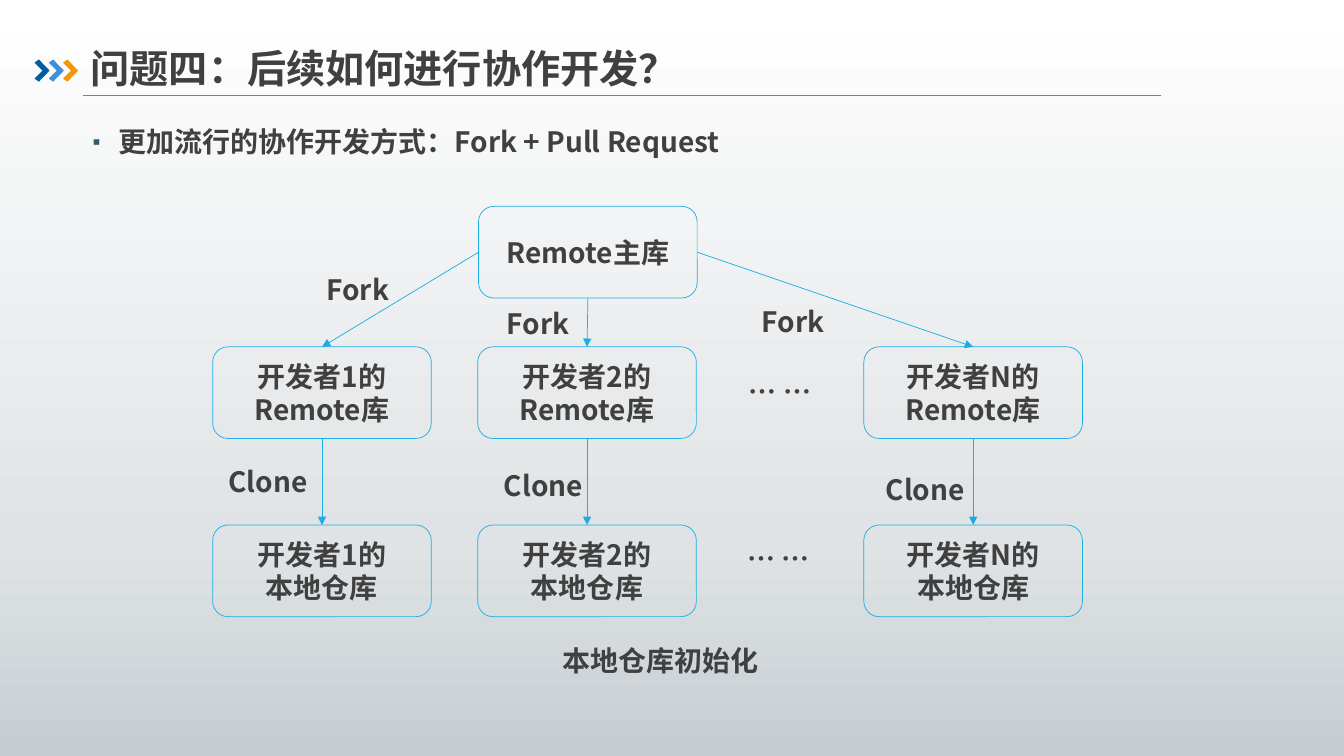
import copy

import lxml.etree
import pptx
import pptx.dml.color
import pptx.enum.dml
import pptx.enum.shapes
import pptx.enum.text
import pptx.oxml.ns
import pptx.util

Cm, Pt = pptx.util.Cm, pptx.util.Pt
RGBColor = pptx.dml.color.RGBColor
PP_ALIGN = pptx.enum.text.PP_ALIGN
MSO_ANCHOR = pptx.enum.text.MSO_ANCHOR
MSO_SHAPE = pptx.enum.shapes.MSO_SHAPE
STRAIGHT = pptx.enum.shapes.MSO_CONNECTOR.STRAIGHT
qn = pptx.oxml.ns.qn

FONT = "Noto Sans CJK SC"
TEXT = RGBColor(0x40, 0x40, 0x40)
OUTLINE = RGBColor(0x1C, 0xAD, 0xE4)
RULE = RGBColor(0x80, 0x80, 0x80)
BACKDROP = [(0, RGBColor(0xFF, 0xFF, 0xFF)), (0.72, RGBColor(0xDF, 0xE3, 0xE5)),
            (1, RGBColor(0xC6, 0xCD, 0xD1))]
CHEVRONS = [RGBColor(0x00, 0x5D, 0xA2), RGBColor(0x39, 0x92, 0xDB), RGBColor(0xF7, 0x96, 0x00)]
BOX_WIDTH, BOX_HEIGHT = 5.51, 2.31


def write(shape, text, size=20, align=PP_ALIGN.LEFT, anchor=MSO_ANCHOR.TOP, wrap=True, spacing=None):
    frame = shape.text_frame
    frame.text = text
    frame.word_wrap = wrap
    frame.vertical_anchor = anchor
    for paragraph in frame.paragraphs:
        paragraph.alignment = align
        paragraph.line_spacing = spacing
        for run in paragraph.runs:
            run.font.name = FONT
            run.font.size = Pt(size)
            run.font.bold = True
            run.font.color.rgb = TEXT
            lxml.etree.SubElement(run.font._element, qn("a:ea"), typeface=FONT)


def draw_line(start, end, color, arrow=False):
    """Draw between two (x, y) points, or between two (shape, side) joints."""
    joined = not isinstance(start[0], (int, float))
    ends = (0, 0, 0, 0) if joined else [Cm(value) for value in (*start, *end)]
    line = slide.shapes.add_connector(STRAIGHT, *ends)
    if joined:
        line.begin_connect(*start)
        line.end_connect(*end)
    line.line.color.rgb = color
    line.line.width = Pt(0.5)
    if arrow:
        lxml.etree.SubElement(line.line._get_or_add_ln(), qn("a:tailEnd"), type="triangle")
    lxml.etree.SubElement(line._element.spPr, qn("a:effectLst"))


presentation = pptx.Presentation()
presentation.slide_width, presentation.slide_height = Cm(33.87), Cm(19.05)
slide = presentation.slides.add_slide(presentation.slide_layouts[1])

# Background gradient, top to bottom
backdrop = slide.background.fill
backdrop.gradient()
backdrop.gradient_angle = 270
first_stop = backdrop.gradient_stops[0]._gs
first_stop.addnext(copy.deepcopy(first_stop))
for stop, (position, color) in zip(backdrop.gradient_stops, BACKDROP):
    stop.position = position
    stop.color.rgb = color

# Heading
draw_line((2.08, 2.41), (29.26, 2.41), RULE)
for index, color in enumerate(CHEVRONS):
    outline = [(x + index * 0.36, y) for x, y in
               [(0.87, 1.58), (0.98, 1.5), (1.25, 1.78), (0.98, 2.06), (0.87, 1.98), (1.07, 1.78)]]
    builder = slide.shapes.build_freeform(Cm(outline[0][0]), Cm(outline[0][1]))
    builder.add_line_segments([(Cm(x), Cm(y)) for x, y in outline[1:]], close=True)
    chevron = builder.convert_to_shape()
    chevron.shadow.inherit = False
    chevron.fill.solid()
    chevron.fill.fore_color.rgb = color
    chevron.line.fill.background()

title = slide.shapes.title
title.left, title.top, title.width, title.height = Cm(2.03), Cm(0.23), Cm(29.87), Cm(2.21)
write(title, "问题四：后续如何进行协作开发？", size=28, anchor=MSO_ANCHOR.BOTTOM, spacing=0.9)

body = slide.placeholders[1]
body.left, body.top, body.width, body.height = Cm(1.96), Cm(3.1), Cm(29.87), Cm(14.63)
write(body, "更加流行的协作开发方式：Fork + Pull Request", spacing=0.9)
topic = body.text_frame.paragraphs[0]
topic.space_before = Pt(18)
bullet = topic._p.get_or_add_pPr()
bullet.set("marL", str(Cm(0.76)))
bullet.set("indent", str(Cm(-0.64)))
bullet_color = lxml.etree.SubElement(bullet, qn("a:buClr"))
lxml.etree.SubElement(bullet_color, qn("a:srgbClr"), val="335B74")
lxml.etree.SubElement(bullet, qn("a:buSzPct"), val="80000")
lxml.etree.SubElement(bullet, qn("a:buChar"), char="▪")

# Repositories: main one, then a fork and a local clone for each developer
repositories = {}
places = [("main", "Remote主库", 12.06, 5.2)]
for developer, left in [("1", 5.36), ("2", 12.04), ("N", 21.77)]:
    places.append((("fork", developer), f"开发者{developer}的Remote库", left, 8.74))
    places.append((("local", developer), f"开发者{developer}的\n本地仓库", left, 13.23))
for key, text, left, top in places:
    repository = slide.shapes.add_shape(MSO_SHAPE.ROUNDED_RECTANGLE, Cm(left), Cm(top),
                                        Cm(BOX_WIDTH), Cm(BOX_HEIGHT))
    repository.shadow.inherit = False
    repository.fill.background()
    repository.line.color.rgb = OUTLINE
    repository.line.width = Pt(0.5)
    write(repository, text, align=PP_ALIGN.CENTER, anchor=MSO_ANCHOR.MIDDLE)
    repositories[key] = repository

for developer, main_side in [("1", 1), ("2", 2), ("N", 3)]:
    fork, local = repositories["fork", developer], repositories["local", developer]
    draw_line((repositories["main"], main_side), (fork, 0), OUTLINE, arrow=True)
    draw_line((fork, 2), (local, 0), OUTLINE, arrow=True)

# Labels
for text, left, top, width in [
    ("Fork", 7.98, 6.73, 2.11), ("Fork", 12.52, 7.59, 2.11), ("Fork", 18.95, 7.54, 2.11),
    ("Clone", 5.51, 11.58, 2.95), ("Clone", 12.45, 11.68, 2.95), ("Clone", 22.07, 11.79, 2.95),
    ("… …", 18.62, 9.3, 2.11), ("… …", 18.59, 13.51, 2.11),
    ("本地仓库初始化", 13.92, 16.08, 5.51),
]:
    label = slide.shapes.add_textbox(Cm(left), Cm(top), Cm(width), Cm(1.12))
    write(label, text, wrap=text == "Clone")

presentation.save("out.pptx")
